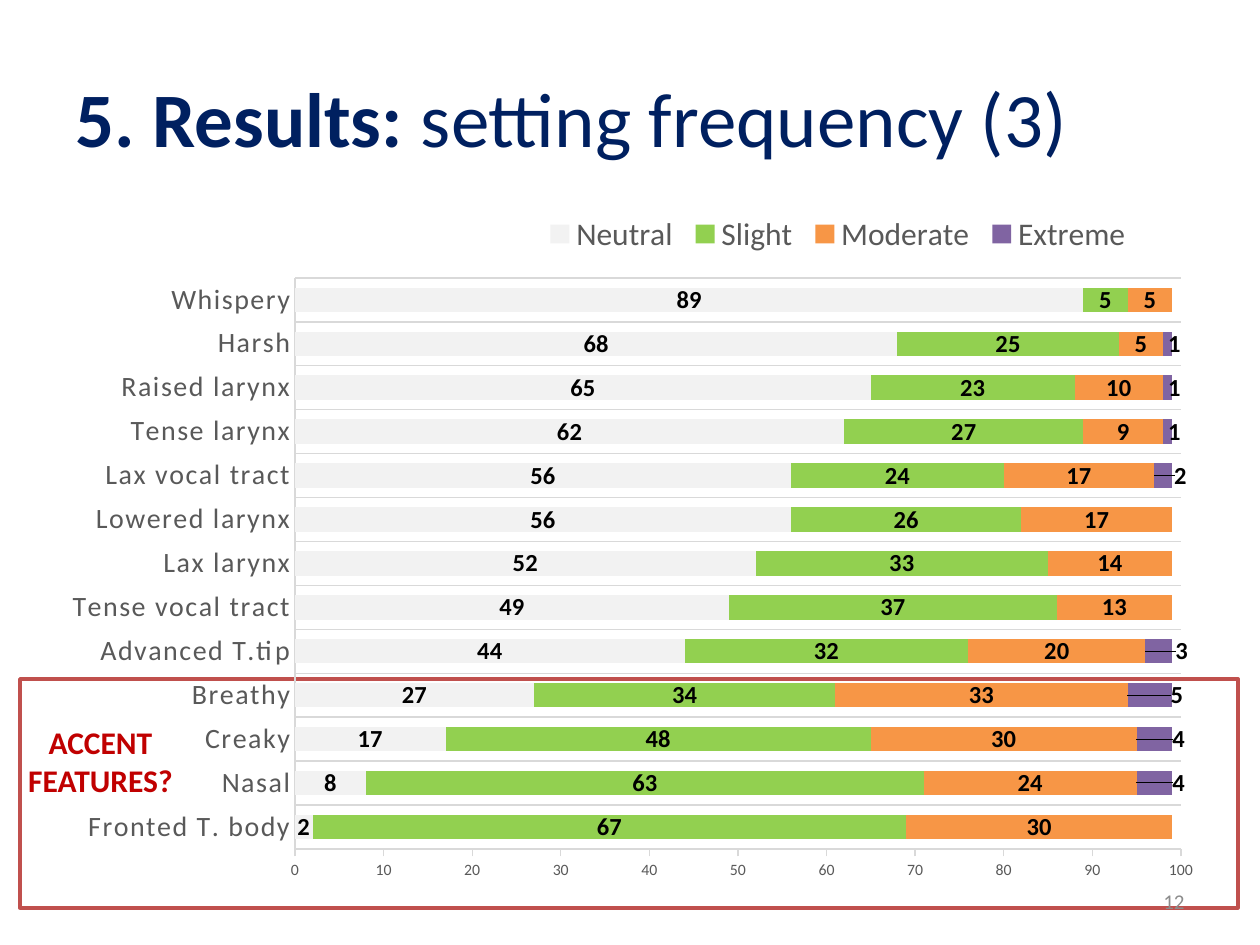
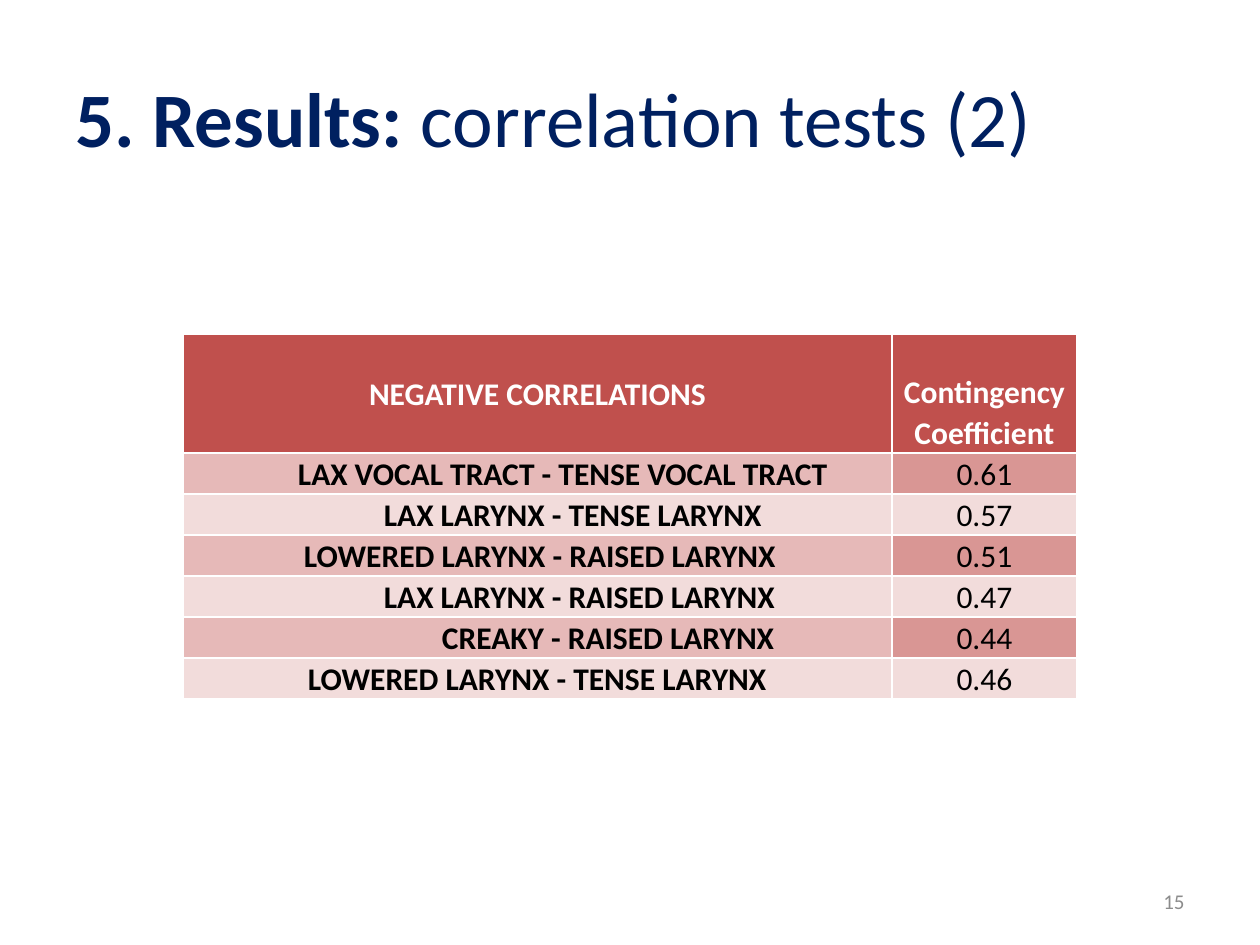
from lxml import etree
from pptx import Presentation
from pptx.chart.data import CategoryChartData
from pptx.dml.color import RGBColor
from pptx.enum.chart import (XL_CHART_TYPE as ChartType, XL_LABEL_POSITION as LabelPos,
                             XL_LEGEND_POSITION as LegendPos, XL_TICK_MARK as Tick)
from pptx.enum.shapes import MSO_SHAPE as Shape
from pptx.enum.text import MSO_ANCHOR as Anchor, PP_ALIGN as Align
from pptx.oxml import parse_xml
from pptx.oxml.ns import nsdecls, qn
from pptx.util import Pt

SCALE = 914400 / 126
FONT = "Calibri"
NAVY, RED, BRICK = "002060", "C00000", "C0504D"
BLACK, WHITE, GREY, RULE, NUMBER = "000000", "FFFFFF", "595959", "D9D9D9", "8C8C8C"
TITLE_START = "5. Results: "

# Setting: Neutral, Slight, Moderate, Extreme (bottom bar first)
FREQUENCIES = {
    "Fronted T. body": (2, 67, 30, 0),
    "Nasal": (8, 63, 24, 4),
    "Creaky": (17, 48, 30, 4),
    "Breathy": (27, 34, 33, 5),
    "Advanced T.tip": (44, 32, 20, 3),
    "Tense vocal tract": (49, 37, 13, 0),
    "Lax larynx": (52, 33, 14, 0),
    "Lowered larynx": (56, 26, 17, 0),
    "Lax vocal tract": (56, 24, 17, 2),
    "Tense larynx": (62, 27, 9, 1),
    "Raised larynx": (65, 23, 10, 1),
    "Harsh": (68, 25, 5, 1),
    "Whispery": (89, 5, 5, 0),
}
DEGREES = {"Neutral": "F2F2F2", "Slight": "92D050", "Moderate": "F79646", "Extreme": "8064A2"}
LABEL_SHIFTS = {"Nasal": 31, "Creaky": 31, "Breathy": 38, "Advanced T.tip": 25, "Lax vocal tract": 15}
CHART_BOX = (44, 205, 1173, 689)
PLOT_BOX = (295, 278, 886, 571)
LEGEND_BOX = (538, 212, 600, 44)

TABLE_HEAD = ("NEGATIVE CORRELATIONS", "Contingency Coefficient")
CORRELATIONS = [  # pair, indent in px, coefficient
    ("LAX VOCAL TRACT - TENSE VOCAL TRACT", 106, "0.61"),
    ("LAX LARYNX - TENSE LARYNX", 192, "0.57"),
    ("LOWERED LARYNX - RAISED LARYNX", 112, "0.51"),
    ("LAX LARYNX - RAISED LARYNX", 192, "0.47"),
    ("CREAKY - RAISED LARYNX", 250, "0.44"),
    ("LOWERED LARYNX - TENSE LARYNX", 116, "0.46"),
]
ROW_FILLS = (("E6B9B8", "D99694"), ("F2DCDB", "F2DCDB"))
COLUMNS, HEAD_HEIGHT, ROW_HEIGHT = (709, 185), 119, 41


def px(*values):
    return [round(v * SCALE) for v in values]


def rgb(value):
    return RGBColor.from_string(value)


def style(font, size, color, bold=None):
    font.name, font.size, font.bold = FONT, Pt(size), bold
    font.color.rgb = rgb(color)


def rule(line, color, width):
    line.color.rgb = rgb(color)
    line.width = Pt(width)


def add_text(s, box, text, size, color, align, bold=False):
    tf = s.shapes.add_textbox(*px(*box)).text_frame
    tf.word_wrap = True
    p = tf.paragraphs[0]
    p.text, p.alignment = text, align
    style(p.font, size, color, bold)
    return tf


def add_slide(prs, topic, number):
    s = prs.slides.add_slide(prs.slide_layouts[5])
    title = s.shapes.title
    title.left, title.top, title.width, title.height = px(63, 38, 1134, 157)
    p = title.text_frame.paragraphs[0]
    p.alignment = Align.LEFT
    style(p.font, 44, NAVY)
    for text, bold in ((TITLE_START, True), (topic, False)):
        r = p.add_run()
        r.text, r.font.bold = text, bold
    tf = add_text(s, (903, 876, 294, 50), number, 12, NUMBER, Align.RIGHT)
    tf.vertical_anchor = Anchor.MIDDLE
    return s


def set_layout(parent, index, **settings):
    """Give a chart part a manual layout, as child number index."""
    for old in parent.findall(qn("c:layout")):
        parent.remove(old)
    layout = etree.Element(qn("c:layout"))
    manual = etree.SubElement(layout, qn("c:manualLayout"))
    for key, value in settings.items():
        etree.SubElement(manual, qn(f"c:{key}"), val=str(value))
    parent.insert(index, layout)


def chart_fractions(box):
    left, top, width, height = CHART_BOX
    x, y, w, h = box
    parts = ((x - left) / width, (y - top) / height, w / width, h / height)
    return dict(xMode="edge", yMode="edge", **dict(zip("xywh", (round(v, 4) for v in parts))))


def no_fill():
    return parse_xml(f'<c:spPr {nsdecls("c", "a")}><a:noFill/><a:ln><a:noFill/></a:ln></c:spPr>')


def format_series(plot):
    names = list(FREQUENCIES)
    for series, color in zip(plot.series, DEGREES.values()):
        series.format.fill.solid()
        series.format.fill.fore_color.rgb = rgb(color)
        labels = series.data_labels
        labels.show_value = True
        labels.number_format, labels.number_format_is_linked = "0;;;", False
        labels.position = LabelPos.CENTER
        style(labels.font, 14, BLACK, True)
    labels.position = LabelPos.INSIDE_BASE
    for name, shift in LABEL_SHIFTS.items():
        label = series.points[names.index(name)].data_label
        style(label.font, 14, BLACK, True)
        label.position = LabelPos.INSIDE_BASE
    for dlbl, shift in zip(labels._element.findall(qn("c:dLbl")), LABEL_SHIFTS.values()):
        set_layout(dlbl, 1, x=round(shift / CHART_BOX[2], 4), y=0)


def add_frequency_chart(s):
    data = CategoryChartData()
    data.categories = list(FREQUENCIES)
    for name, values in zip(DEGREES, zip(*FREQUENCIES.values())):
        data.add_series(name, values)
    chart = s.shapes.add_chart(ChartType.BAR_STACKED, *px(*CHART_BOX), data).chart
    chart.has_title = False
    style(chart.font, 10, BLACK)
    plot = chart.plots[0]
    plot.gap_width, plot.overlap, plot.vary_by_categories = 79, 100, False
    format_series(plot)

    cats, vals = chart.category_axis, chart.value_axis
    for axis, size, tick in ((cats, 16, Tick.NONE), (vals, 9, Tick.OUTSIDE)):
        axis.major_tick_mark, axis.minor_tick_mark = tick, Tick.NONE
        style(axis.tick_labels.font, size, GREY)
        rule(axis.format.line, RULE, 0.75)
    cats.has_major_gridlines = True
    rule(cats.major_gridlines.format.line, RULE, 0.75)
    cats._element.find(f'.//{qn("a:defRPr")}').set("spc", "100")
    vals.has_major_gridlines = False
    vals.minimum_scale, vals.maximum_scale, vals.major_unit = 0, 100, 10

    chart.has_legend = True
    legend = chart.legend
    legend.position, legend.include_in_layout = LegendPos.TOP, False
    style(legend.font, 18, GREY)
    set_layout(legend._element, 1, **chart_fractions(LEGEND_BOX))

    space = chart._chartSpace
    plot_area = space.chart.plotArea
    set_layout(plot_area, 0, layoutTarget="inner", **chart_fractions(PLOT_BOX))
    plot_area.append(no_fill())
    space.find(qn("c:txPr")).addprevious(no_fill())


def add_accent_frame(s):
    frame = s.shapes.add_shape(Shape.RECTANGLE, *px(20, 679, 1218, 229))
    frame.shadow.inherit = False
    frame.fill.solid()
    frame.fill.fore_color.rgb = rgb(WHITE)
    rule(frame.line, BRICK, 2)


def fill_cell(cell, text, fill, color, bold, align=Align.CENTER, indent=0, anchor=Anchor.MIDDLE):
    cell.fill.solid()
    cell.fill.fore_color.rgb = rgb(fill)
    cell.margin_left, cell.margin_right, cell.margin_top, cell.margin_bottom = px(9, 9, 0, 0)
    cell.vertical_anchor = anchor
    p = cell.text_frame.paragraphs[0]
    p.text, p.alignment, p.line_spacing = text, align, 1.07
    if indent:
        p._p.get_or_add_pPr().set("marL", str(px(indent)[0]))
    style(p.font, 18, color, bold)


def add_correlation_table(s):
    count = len(CORRELATIONS)
    box = (183, 334, sum(COLUMNS), HEAD_HEIGHT + count * ROW_HEIGHT)
    table = s.shapes.add_table(count + 1, len(COLUMNS), *px(*box)).table
    for column, width in zip(table.columns, px(*COLUMNS)):
        column.width = width
    for row, height in zip(table.rows, px(HEAD_HEIGHT, *[ROW_HEIGHT] * count)):
        row.height = height
    for c, (text, anchor) in enumerate(zip(TABLE_HEAD, (Anchor.MIDDLE, Anchor.BOTTOM))):
        fill_cell(table.cell(0, c), text, BRICK, WHITE, True, anchor=anchor)
    for i, (pair, indent, coefficient) in enumerate(CORRELATIONS):
        pair_fill, value_fill = ROW_FILLS[i % 2]
        fill_cell(table.cell(i + 1, 0), pair, pair_fill, BLACK, True, Align.LEFT, indent)
        fill_cell(table.cell(i + 1, 1), coefficient, value_fill, BLACK, False)


def main():
    prs = Presentation()
    prs.slide_width, prs.slide_height = px(1260, 945)

    s = add_slide(prs, "setting frequency (3)", "12")
    add_accent_frame(s)
    add_frequency_chart(s)
    add_text(s, (9, 717, 183, 89), "ACCENT FEATURES?", 18, RED, Align.CENTER, True)
    # The frame lies behind the title and the slide number
    frame = next(sh for sh in s.shapes if sh.shape_type == 1)
    s.shapes.title._element.addprevious(frame._element)

    s = add_slide(prs, "correlation tests (2)", "15")
    add_correlation_table(s)
    prs.save("out.pptx")


if __name__ == "__main__":
    main()
